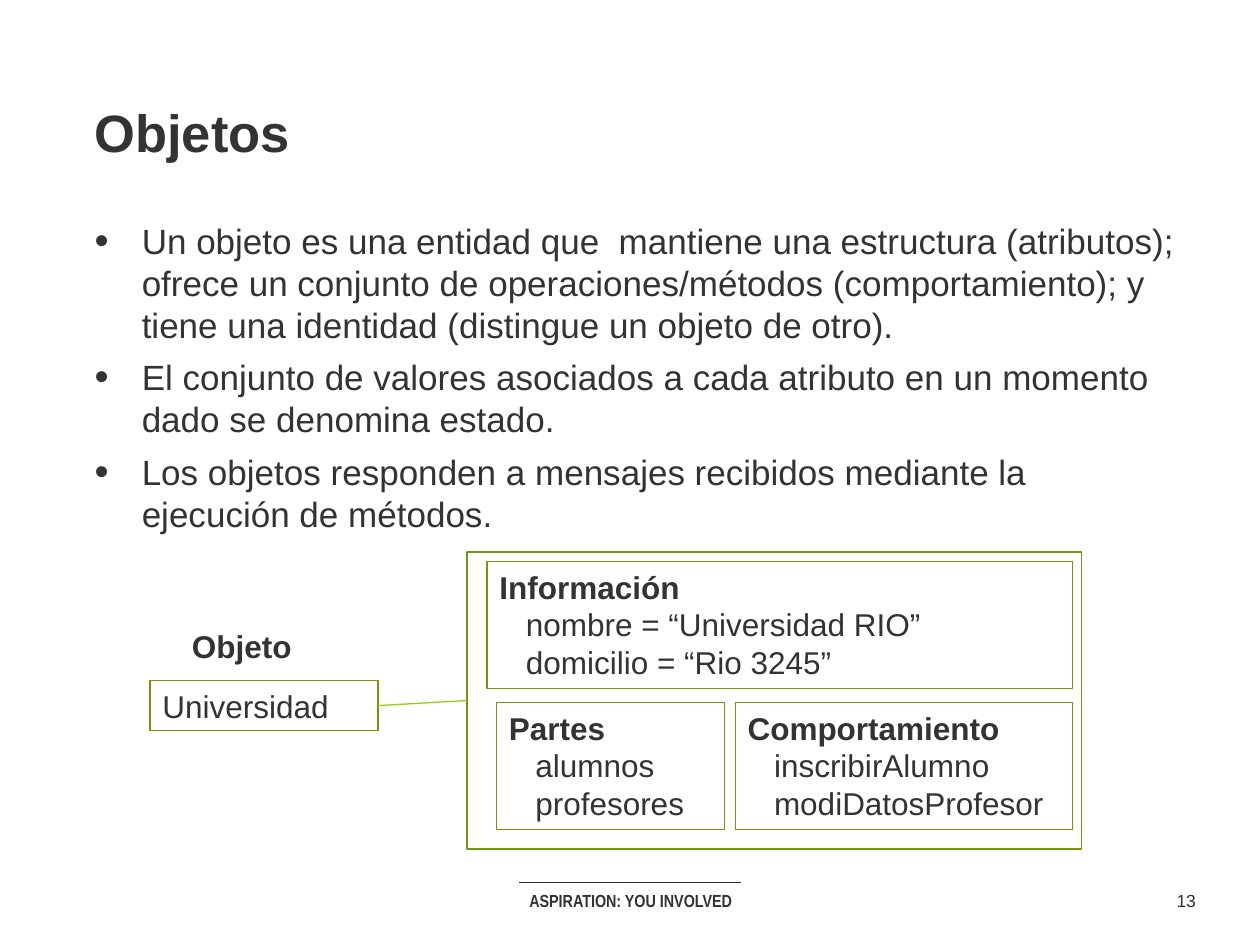
import pptx
import pptx.util
import pptx.dml.color
import pptx.enum.shapes
import pptx.enum.text
import pptx.oxml
import pptx.oxml.ns

COLORS = {"ink": "333333", "frame": "6F990D", "link": "96CF12"}
COLUMNS = 100
ALIGN = pptx.enum.text.PP_ALIGN
ANCHOR = pptx.enum.text.MSO_ANCHOR

prs = pptx.Presentation()
prs.slide_width = pptx.util.Inches(10)
prs.slide_height = pptx.util.Inches(7.5)


def cells(n):
    return round(prs.slide_width * n / COLUMNS)


def within(box, x, y, w, h):
    return box[0] + x, box[1] + y, w, h


def apply(obj, values):
    for name, value in values.items():
        setattr(obj, name, value)


def rgb(name):
    return pptx.dml.color.RGBColor.from_string(COLORS[name])


def place(sp, box):
    apply(sp, dict(zip(("left", "top", "width", "height"), map(cells, box))))


def frame(tf, side, edge, anchor=ANCHOR.TOP):
    apply(tf, {
        "word_wrap": True, "vertical_anchor": anchor,
        "auto_size": pptx.enum.text.MSO_AUTO_SIZE.NONE,
        "margin_left": cells(side), "margin_right": cells(side),
        "margin_top": cells(edge), "margin_bottom": cells(edge),
    })


def write(p, text, size, bold=False, align=ALIGN.LEFT, font="Arial", before=0):
    apply(p, {"alignment": align, "line_spacing": 1.0,
              "space_before": pptx.util.Pt(before)})
    r = p.add_run()
    r.text = text
    apply(r.font, {"name": font, "size": pptx.util.Pt(size), "bold": bold})
    r.font.color.rgb = rgb("ink")


def paragraphs(tf, lines):
    for i, line in enumerate(lines):
        yield (tf.add_paragraph() if i else tf.paragraphs[0]), line


def indent(p, left, first=0):
    pPr = p._p.get_or_add_pPr()
    pPr.set("marL", str(cells(left)))
    pPr.set("indent", str(cells(first)))
    return pPr


def bullet(p):
    pPr = indent(p, 3.75, -3.75)
    for tag, name, value in (("buSzPct", "val", "115000"),
                             ("buFont", "typeface", "Arial"),
                             ("buChar", "char", "•")):
        el = pptx.oxml.parse_xml(f'<a:{tag} {pptx.oxml.ns.nsdecls("a")} {name}="{value}"/>')
        pPr.append(el)


def label(s, box, text, size, **style):
    sp = s.shapes.add_textbox(*map(cells, box))
    frame(sp.text_frame, 1, 0.5)
    write(sp.text_frame.paragraphs[0], text, size, **style)


def rectangle(s, box, width=0.75):
    sp = s.shapes.add_shape(pptx.enum.shapes.MSO_SHAPE.RECTANGLE, *map(cells, box))
    sp.shadow.inherit = False
    sp.fill.background()
    sp.line.color.rgb = rgb("frame")
    sp.line.width = pptx.util.Pt(width)
    frame(sp.text_frame, 1, 0.5)
    return sp


def connector(s, x1, y1, x2, y2, color, width):
    cx = s.shapes.add_connector(pptx.enum.shapes.MSO_CONNECTOR.STRAIGHT,
                                *map(cells, (x1, y1, x2, y2)))
    cx.line.color.rgb = rgb(color)
    cx.line.width = pptx.util.Pt(width)
    cx._element.spPr.append(
        pptx.oxml.parse_xml(f'<a:effectLst {pptx.oxml.ns.nsdecls("a")}/>'))
    return cx


def title(s, box, text):
    sp = s.shapes.title
    place(sp, box)
    frame(sp.text_frame, 0, 0.5, ANCHOR.MIDDLE)
    write(sp.text_frame.paragraphs[0], text, 30, bold=True)


def bullets(s, box, lines):
    sp = s.placeholders[1]
    place(sp, box)
    frame(sp.text_frame, 0, 0)
    for i, (p, line) in enumerate(paragraphs(sp.text_frame, lines)):
        bullet(p)
        write(p, line, 20, before=6 if i else 0)


def section(s, box, lines):
    sp = rectangle(s, box)
    for i, (p, line) in enumerate(paragraphs(sp.text_frame, lines)):
        indent(p, 2.1 if i else 0)
        write(p, line, 18, bold=i == 0)


def diagram(s, box):
    outer = rectangle(s, within(box, 25.15, 0, 48.8, 23.6), 0.85)
    section(s, within(box, 26.75, 0.75, 46.5, 10.1),
            ["Información", "nombre = “Universidad RIO”", "domicilio = “Rio 3245”"])
    section(s, within(box, 27.5, 11.95, 18.1, 10.1),
            ["Partes", "alumnos", "profesores"])
    section(s, within(box, 46.45, 11.95, 26.8, 10.1),
            ["Comportamiento", "inscribirAlumno", "modiDatosProfesor"])
    label(s, within(box, 2.35, 5.5, 11.8, 4), "Objeto", 18, bold=True)
    university = rectangle(s, within(box, 0, 10.2, 18.1, 4))
    write(university.text_frame.paragraphs[0], "Universidad", 18)
    link = connector(s, 0, 0, 1, 1, "link", 0.75)
    link.begin_connect(university, 3)
    link.end_connect(outer, 1)


def footer(s, box):
    x, y, w, h = box
    connector(s, x + 4.5, y, x + 22.1, y, "ink", 0.5)
    label(s, within(box, 0, 0.1, 26.7, 2.7), "ASPIRATION: YOU INVOLVED", 10,
          bold=True, align=ALIGN.CENTER, font="Arial Narrow")
    label(s, within(box, w - 3.7, 0.1, 3.7, 2.7), "13", 10, align=ALIGN.CENTER)


def main():
    s = prs.slides.add_slide(prs.slide_layouts[1])
    title(s, (7.5, 7.4, 87.5, 6.1), "Objetos")
    bullets(s, (7.5, 17.4, 86.2, 28.6), [
        "Un objeto es una entidad que  mantiene una estructura (atributos); "
        "ofrece un conjunto de operaciones/métodos (comportamiento); y tiene "
        "una identidad (distingue un objeto de otro).",
        "El conjunto de valores asociados a cada atributo en un momento dado "
        "se denomina estado.",
        "Los objetos responden a mensajes recibidos mediante la ejecución de métodos.",
    ])
    diagram(s, (11.9, 43.8, 74, 23.6))
    footer(s, (36.7, 70.05, 59.3, 2.8))
    prs.save("out.pptx")


if __name__ == "__main__":
    main()
